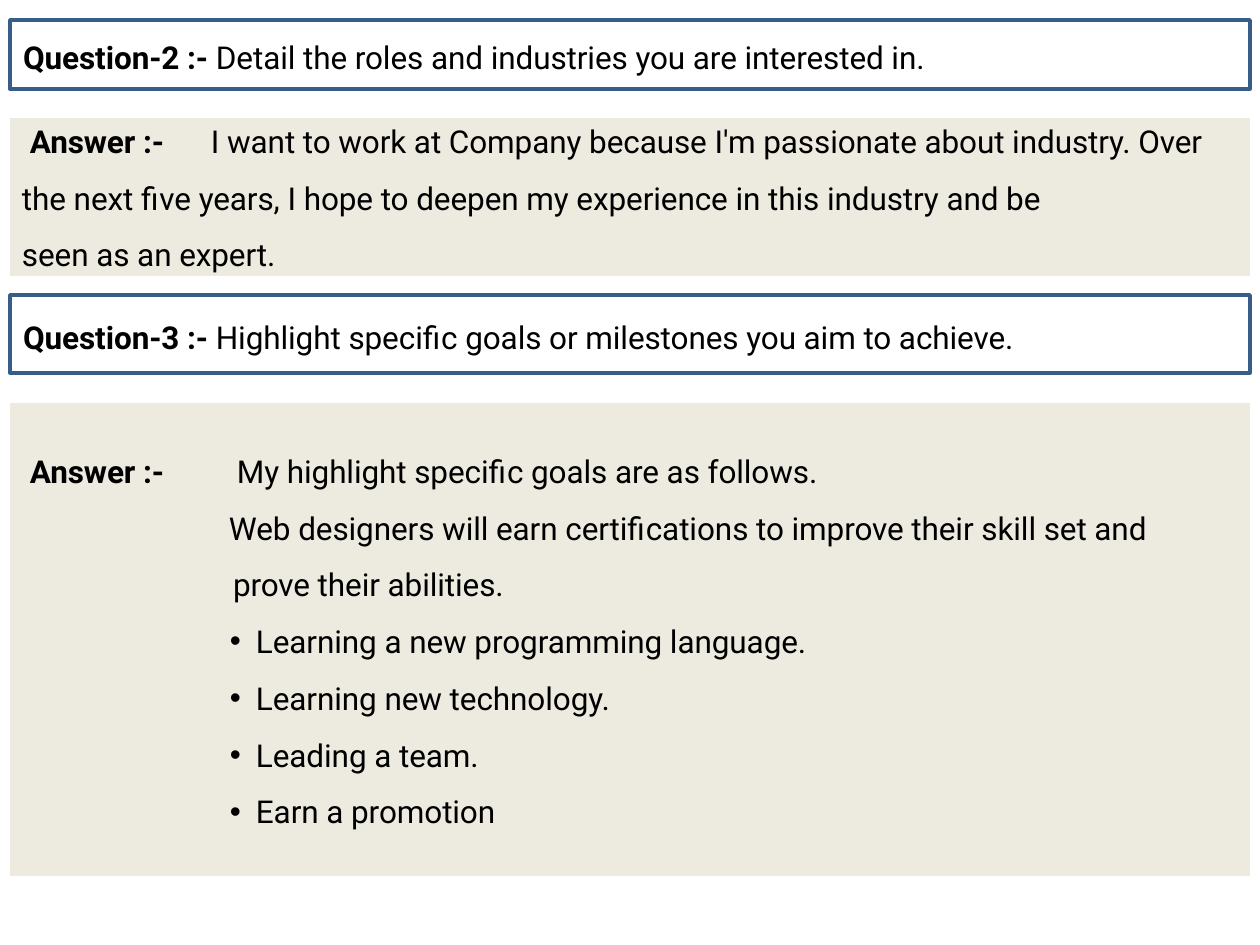
import pptx
import pptx.util
import pptx.dml.color
import pptx.enum.shapes
import pptx.enum.text
import pptx.oxml
import pptx.oxml.ns

NAVY = pptx.dml.color.RGBColor(0x38, 0x5D, 0x89)
BEIGE = pptx.dml.color.RGBColor(0xED, 0xEB, 0xE0)
BLACK = pptx.dml.color.RGBColor(0, 0, 0)
FONT = "Roboto"
SIZE = 18
TRACKING = -5
SCALE = pptx.util.Inches(1) / 126
LEFT, WIDTH = 10, 1240

QUESTION_2 = [
    {"bold": "Question-2 :- ", "text": "Detail the roles and industries you are interested in.", "margin": 13},
]
ANSWER_2 = [
    {"bold": "Answer :-\t",
     "text": "I want to work at Company because I'm passionate about industry. "
             "Over the next five years, I hope to deepen my experience in this industry and be",
     "margin": 2, "indent": 8, "spacing": 1.5, "tab": 254},
    {"text": "seen as an expert.", "margin": 2, "before": 10.8},
]
QUESTION_3 = [
    {"bold": "Question-3 :- ", "text": "Highlight specific goals or milestones you aim to achieve.", "margin": 13},
]
ANSWER_3 = [{"bold": "Answer :-", "margin": 2}]
GOALS = [
    {"text": "My highlight specific goals are as follows.", "margin": 9},
    {"text": "Web designers will earn certifications to improve their skill set and prove their abilities.",
     "margin": 5, "indent": -4, "spacing": 1.5},
] + [
    {"text": goal, "margin": 28, "indent": -26, "before": 10.8, "bullet": True}
    for goal in ("Learning a new programming language.", "Learning new technology.",
                 "Leading a team.", "Earn a promotion")
]


def px(n):
    return pptx.util.Emu(round(n * SCALE))


def add_xml(parent, body):
    parent.append(pptx.oxml.parse_xml(body.replace("/>", f" {pptx.oxml.ns.nsdecls('a')}/>", 1)
                                      if body.endswith("/>") and body.count("<") == 1
                                      else body.replace(">", f" {pptx.oxml.ns.nsdecls('a')}>", 1)))


def place(sp, left, top, width, height):
    sp.left, sp.top, sp.width, sp.height = px(left), px(top), px(width), px(height)


def write(sp, paragraphs, inset):
    tf = sp.text_frame
    tf.word_wrap = True
    tf.auto_size = pptx.enum.text.MSO_AUTO_SIZE.NONE
    tf.vertical_anchor = pptx.enum.text.MSO_ANCHOR.TOP
    tf.margin_left = tf.margin_right = tf.margin_bottom = 0
    tf.margin_top = px(inset)
    for i, item in enumerate(paragraphs):
        p = tf.paragraphs[0] if i == 0 else tf.add_paragraph()
        p.alignment = pptx.enum.text.PP_ALIGN.LEFT
        p.line_spacing = item.get("spacing", 1.0)
        p.space_before = pptx.util.Pt(item.get("before", 0))
        ppr = p._p.get_or_add_pPr()
        ppr.set("marL", str(px(item["margin"])))
        ppr.set("indent", str(px(item.get("indent", 0))))
        add_xml(ppr, '<a:buChar char="•"/>' if item.get("bullet") else "<a:buNone/>")
        if "tab" in item:
            add_xml(ppr, f'<a:tabLst><a:tab pos="{px(item["tab"])}" algn="l"/></a:tabLst>')
        for key in ("bold", "text"):
            if key in item:
                r = p.add_run()
                r.text = item[key]
                r.font.name = FONT
                r.font.size = pptx.util.Pt(SIZE)
                r.font.bold = key == "bold"
                r.font.color.rgb = BLACK
                r.font._element.set("spc", str(TRACKING))


def add_rectangle(top, height):
    sp = slide.shapes.add_shape(pptx.enum.shapes.MSO_SHAPE.RECTANGLE, 0, 0, 0, 0)
    place(sp, LEFT, top, WIDTH, height)
    sp.shadow.inherit = False
    return sp


def outline(sp):
    sp.fill.background()
    sp.line.color.rgb = NAVY
    sp.line.width = pptx.util.Pt(2)


def add_panel(top, height):
    sp = add_rectangle(top, height)
    sp.fill.solid()
    sp.fill.fore_color.rgb = BEIGE
    sp.line.fill.background()


def add_text(left, top, width, height, paragraphs):
    sp = slide.shapes.add_textbox(0, 0, 0, 0)
    place(sp, left, top, width, height)
    write(sp, paragraphs, 1)


prs = pptx.Presentation()
prs.slide_width, prs.slide_height = px(1260), px(945)
slide = prs.slides.add_slide(prs.slide_layouts[1])

title = slide.shapes.title
place(title, LEFT, 20, WIDTH, 69)
outline(title)
write(title, QUESTION_2, 18)

add_panel(118, 158)
add_text(20, 102, 1184, 174, ANSWER_2)

question = add_rectangle(295, 78)
outline(question)
write(question, QUESTION_3, 23)

add_panel(403, 473)
add_text(28, 451, 145, 42, ANSWER_3)

goals = slide.placeholders[1]
place(goals, 228, 432, 953, 401)
write(goals, GOALS, 20)
slide.shapes._spTree.append(goals._element)

prs.save("out.pptx")
